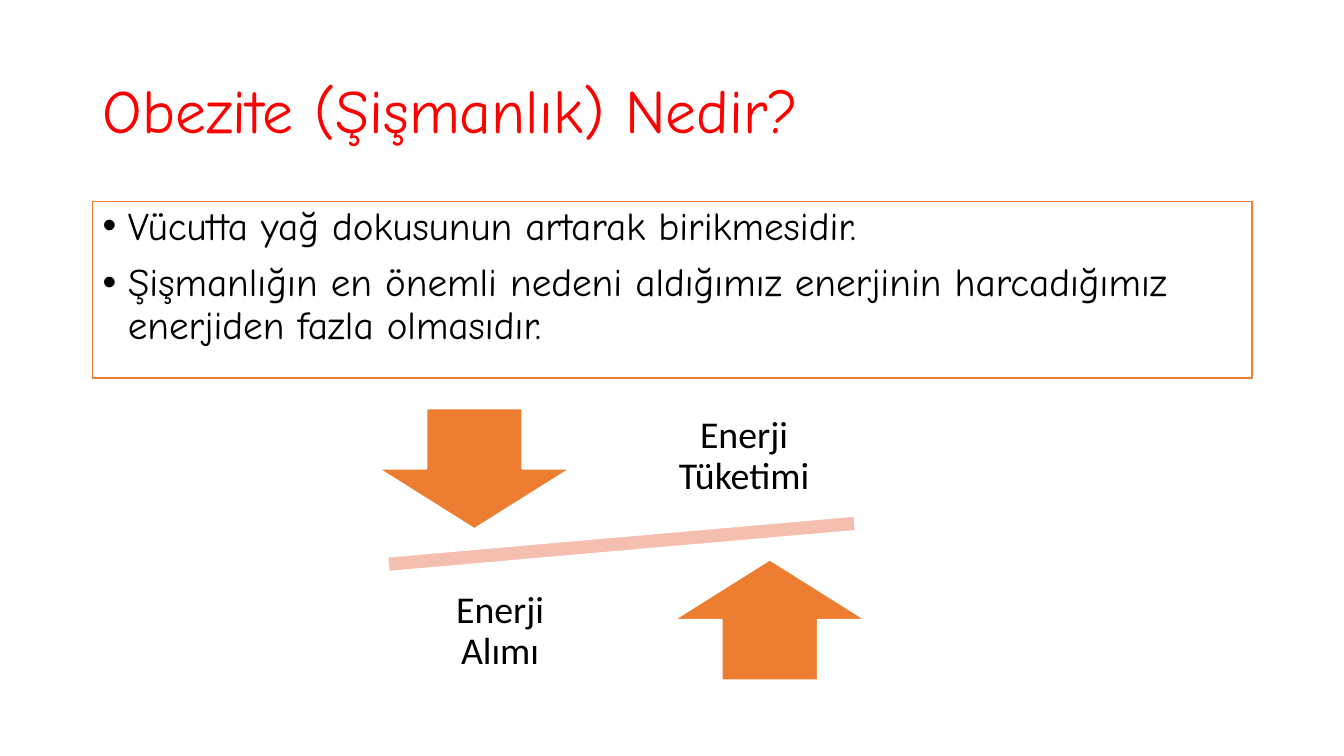
from dataclasses import dataclass

from lxml.etree import SubElement
from pptx import Presentation
from pptx.dml.color import RGBColor
from pptx.enum.shapes import MSO_SHAPE
from pptx.enum.text import MSO_ANCHOR, PP_ALIGN
from pptx.oxml.ns import qn
from pptx.util import Inches, Pt


@dataclass(frozen=True)
class Theme:
    """Colours, fonts and type sizes of the slide."""
    red: str = "FF0000"
    black: str = "000000"
    white: str = "FFFFFF"
    orange: str = "ED7D31"
    salmon: str = "F4BFAE"
    hand_font: str = "Comic Neue"
    label_font: str = "Calibri"
    title_size: int = 44
    body_size: int = 28
    label_size: int = 27


THEME = Theme()


def add_bullet(para):
    """Give a paragraph a hanging round bullet."""
    properties = para._p.get_or_add_pPr()
    properties.set("marL", str(Inches(0.25)))
    properties.set("indent", str(Inches(-0.25)))
    SubElement(properties, qn("a:buFont")).set("typeface", "Arial")
    SubElement(properties, qn("a:buChar")).set("char", "•")


def write_text(box, lines, *, size, font, color=THEME.black, align=PP_ALIGN.LEFT,
               anchor=MSO_ANCHOR.MIDDLE, inset=None, bullets=False, gap=0):
    """Write the lines as paragraphs of a box in one format."""
    frame = box.text_frame
    frame.word_wrap = True
    frame.vertical_anchor = anchor
    if inset is not None:
        frame.margin_left = frame.margin_right = Inches(inset)
        frame.margin_top = frame.margin_bottom = Inches(inset)
    for index, line in enumerate(lines):
        para = frame.add_paragraph() if index else frame.paragraphs[0]
        if bullets:
            add_bullet(para)
        para.alignment = align
        para.line_spacing = 0.9
        if index:
            para.space_before = Pt(gap)
        span = para.add_run()
        span.text = line
        span.font.name = font
        span.font.size = Pt(size)
        span.font.color.rgb = RGBColor.from_string(color)


def add_text(page, place, lines, **style):
    """Add a text box holding the lines."""
    box = page.shapes.add_textbox(*map(Inches, place))
    write_text(box, lines, **style)


def add_figure(page, kind, place, *, fill, line=THEME.white, width=1.5, rotation=0):
    """Add a filled and outlined preset shape."""
    figure = page.shapes.add_shape(kind, *map(Inches, place))
    figure.shadow.inherit = False
    figure.fill.solid()
    figure.fill.fore_color.rgb = RGBColor.from_string(fill)
    figure.line.color.rgb = RGBColor.from_string(line)
    figure.line.width = Pt(width)
    figure.rotation = rotation
    return figure


def add_definition(page):
    """Add the framed definition list."""
    frame = add_figure(page, MSO_SHAPE.RECTANGLE, (0.92, 2, 11.5, 1.75),
                       fill=THEME.white, line=THEME.orange, width=1)
    write_text(frame, ["Vücutta yağ dokusunun artarak birikmesidir.",
                       "Şişmanlığın en önemli nedeni aldığımız enerjinin "
                       "harcadığımız enerjiden fazla olmasıdır."],
               size=THEME.body_size, font=THEME.hand_font,
               anchor=MSO_ANCHOR.TOP, bullets=True, gap=10)


def add_balance(page):
    """Add the tilted beam with an arrow and a label on each side."""
    add_figure(page, MSO_SHAPE.MATH_MINUS, (3, 5.07, 6.33, 0.65),
               fill=THEME.salmon, rotation=-5)
    sides = [
        (MSO_SHAPE.DOWN_ARROW, (3.75, 4.05), "Enerji Tüketimi", (6.36, 3.9)),
        (MSO_SHAPE.UP_ARROW, (6.68, 5.55), "Enerji Alımı", (3.94, 5.64)),
    ]
    for arrow, arrow_corner, label, label_corner in sides:
        add_figure(page, arrow, (*arrow_corner, 1.91, 1.2), fill=THEME.orange)
        add_text(page, (*label_corner, 2.04, 1.26), [label], size=THEME.label_size,
                 font=THEME.label_font, align=PP_ALIGN.CENTER, inset=0.21)


def main():
    """Build the slide and save it."""
    deck = Presentation()
    deck.slide_width, deck.slide_height = Inches(13.33), Inches(7.5)
    page = deck.slides.add_slide(deck.slide_layouts[6])
    add_text(page, (0.92, 0.4, 11.5, 1.45), ["Obezite (Şişmanlık) Nedir?"],
             size=THEME.title_size, font=THEME.hand_font, color=THEME.red)
    add_definition(page)
    add_balance(page)
    deck.save("out.pptx")


if __name__ == "__main__":
    main()
